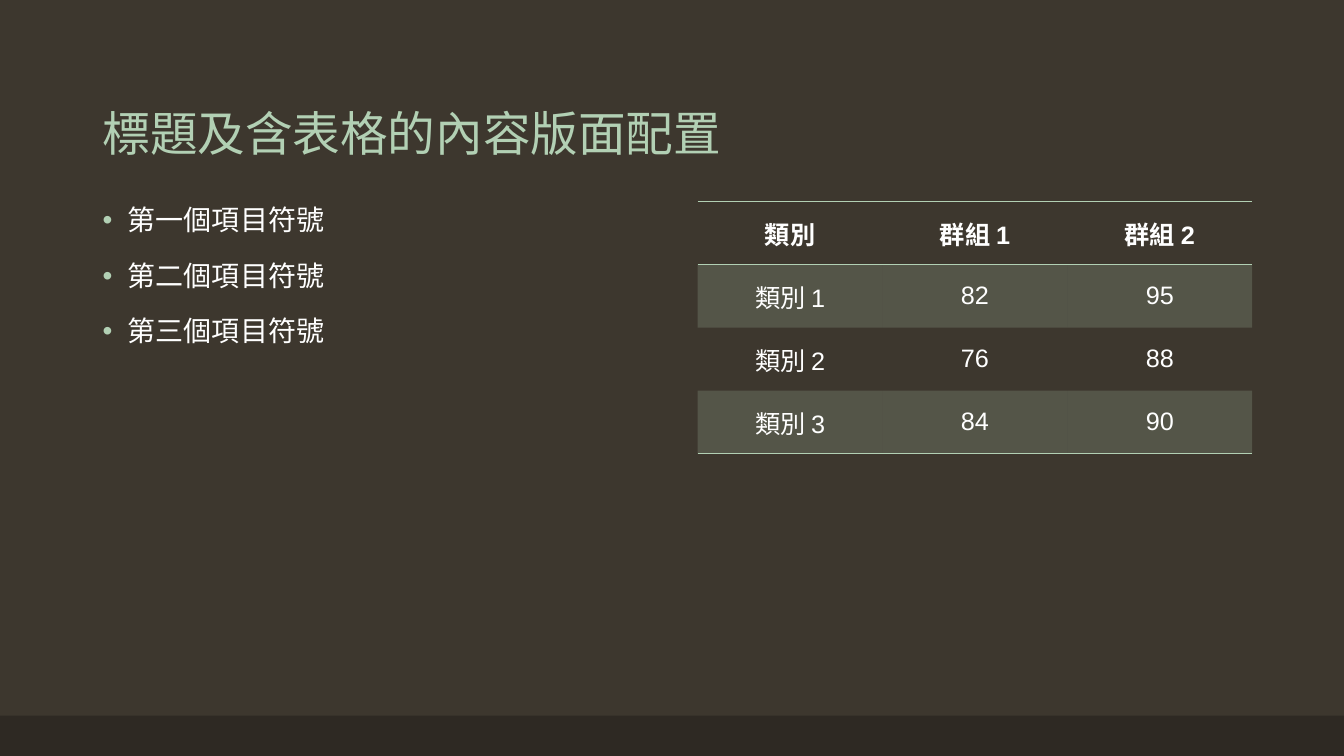
from dataclasses import dataclass

from lxml import etree
from pptx import Presentation
from pptx.dml.color import RGBColor
from pptx.enum.shapes import MSO_SHAPE
from pptx.enum.text import MSO_ANCHOR, PP_ALIGN
from pptx.oxml.ns import qn
from pptx.util import Inches, Pt

RECTANGLE = MSO_SHAPE.RECTANGLE
TOP, MIDDLE, BOTTOM = MSO_ANCHOR.TOP, MSO_ANCHOR.MIDDLE, MSO_ANCHOR.BOTTOM
LEFT, CENTER = PP_ALIGN.LEFT, PP_ALIGN.CENTER

BACKGROUND, FOOTER, ACCENT, WHITE = "3D372E", "2E2923", "B2D0B4", "FFFFFF"
LATIN_FONT, CJK_FONT = "Arial", "Noto Sans CJK TC"
BAND_OPACITY = 20  # percent
RULE_WIDTH = Pt(1)


@dataclass
class TextBlock:
    left: float
    top: float
    width: float
    height: float
    lines: list[str]
    size: int
    color: str
    anchor: MSO_ANCHOR = TOP
    bullet: bool = False


TEXT_BLOCKS = [
    TextBlock(0.92, 0.4, 11.5, 1.25, ["標題及含表格的內容版面配置"], 34, ACCENT, BOTTOM),
    TextBlock(0.92, 2, 5.5, 4.76, ["第一個項目符號", "第二個項目符號", "第三個項目符號"],
              20, WHITE, bullet=True),
]
TABLE_ROWS = [
    ["類別", "群組 1", "群組 2"],
    ["類別 1", "82", "95"],
    ["類別 2", "76", "88"],
    ["類別 3", "84", "90"],
]


def rgb(value: str) -> RGBColor:
    return RGBColor.from_string(value)


def add_child(parent, tag: str, **attributes: str):
    return etree.SubElement(parent, qn(tag), attributes)


def write(para, text: str, *, size: int, color: str, font: str = CJK_FONT,
          bold: bool = False, align: PP_ALIGN = LEFT) -> None:
    para.alignment = align
    span = para.add_run()
    span.text = text
    span.font.name = font
    span.font.size = Pt(size)
    span.font.bold = bold
    span.font.color.rgb = rgb(color)
    add_child(span.font._element, "a:ea", typeface=CJK_FONT)


def add_bullet(para) -> None:
    para.space_before = Pt(18)
    properties = para._p.get_or_add_pPr()
    properties.set("marL", str(Inches(0.25)))
    properties.set("indent", str(-Inches(0.25)))
    add_child(add_child(properties, "a:buClr"), "a:srgbClr", val=ACCENT)
    add_child(properties, "a:buFont", typeface=LATIN_FONT)
    add_child(properties, "a:buChar", char="•")


def add_text_block(page, block: TextBlock) -> None:
    box = page.shapes.add_textbox(Inches(block.left), Inches(block.top),
                                  Inches(block.width), Inches(block.height))
    frame = box.text_frame
    frame.word_wrap = True
    frame.vertical_anchor = block.anchor
    for index, line in enumerate(block.lines):
        para = frame.add_paragraph() if index else frame.paragraphs[0]
        para.line_spacing = 0.9
        write(para, line, size=block.size, color=block.color)
        if block.bullet:
            add_bullet(para)


def set_borders(cell, ruled: set[str]) -> None:
    properties = cell._tc.get_or_add_tcPr()
    for side in "LRTB":
        if side in ruled:
            line = add_child(properties, f"a:ln{side}", w=str(RULE_WIDTH))
            add_child(add_child(line, "a:solidFill"), "a:srgbClr", val=ACCENT)
        else:
            add_child(add_child(properties, f"a:ln{side}", w="0"), "a:noFill")


def set_band(cell, shaded: bool) -> None:
    if not shaded:
        cell.fill.background()
        return
    cell.fill.solid()
    cell.fill.fore_color.rgb = rgb(ACCENT)
    tint = cell._tc.tcPr.find(f"{qn('a:solidFill')}/{qn('a:srgbClr')}")
    add_child(tint, "a:alpha", val=str(BAND_OPACITY * 1000))


def add_group_table(page, rows: list[list[str]]) -> None:
    table = page.shapes.add_table(len(rows), len(rows[0]), Inches(6.92), Inches(2),
                                  Inches(5.5), Inches(2.5)).table
    table.horz_banding = False
    for row, texts in enumerate(rows):
        # Rules run above and below the header and under the last row
        ruled = {side for side, edge in (("T", row), ("B", row + 1))
                 if edge in (0, 1, len(rows))}
        for column, text in enumerate(texts):
            cell = table.cell(row, column)
            cell.vertical_anchor = MIDDLE
            write(cell.text_frame.paragraphs[0], text, size=18, color=WHITE,
                  font=LATIN_FONT, bold=row == 0, align=CENTER)
            set_borders(cell, ruled)
            set_band(cell, row % 2 == 1)


deck = Presentation()
deck.slide_width, deck.slide_height = Inches(13.33), Inches(7.5)
page = deck.slides.add_slide(deck.slide_layouts[6])

# Background and footer strip
page.background.fill.solid()
page.background.fill.fore_color.rgb = rgb(BACKGROUND)
footer = page.shapes.add_shape(RECTANGLE, 0, Inches(7.1), deck.slide_width, Inches(0.4))
footer.shadow.inherit = False
footer.fill.solid()
footer.fill.fore_color.rgb = rgb(FOOTER)
footer.line.fill.background()

# Title, bullets and table
for block in TEXT_BLOCKS:
    add_text_block(page, block)
add_group_table(page, TABLE_ROWS)

deck.save("out.pptx")
